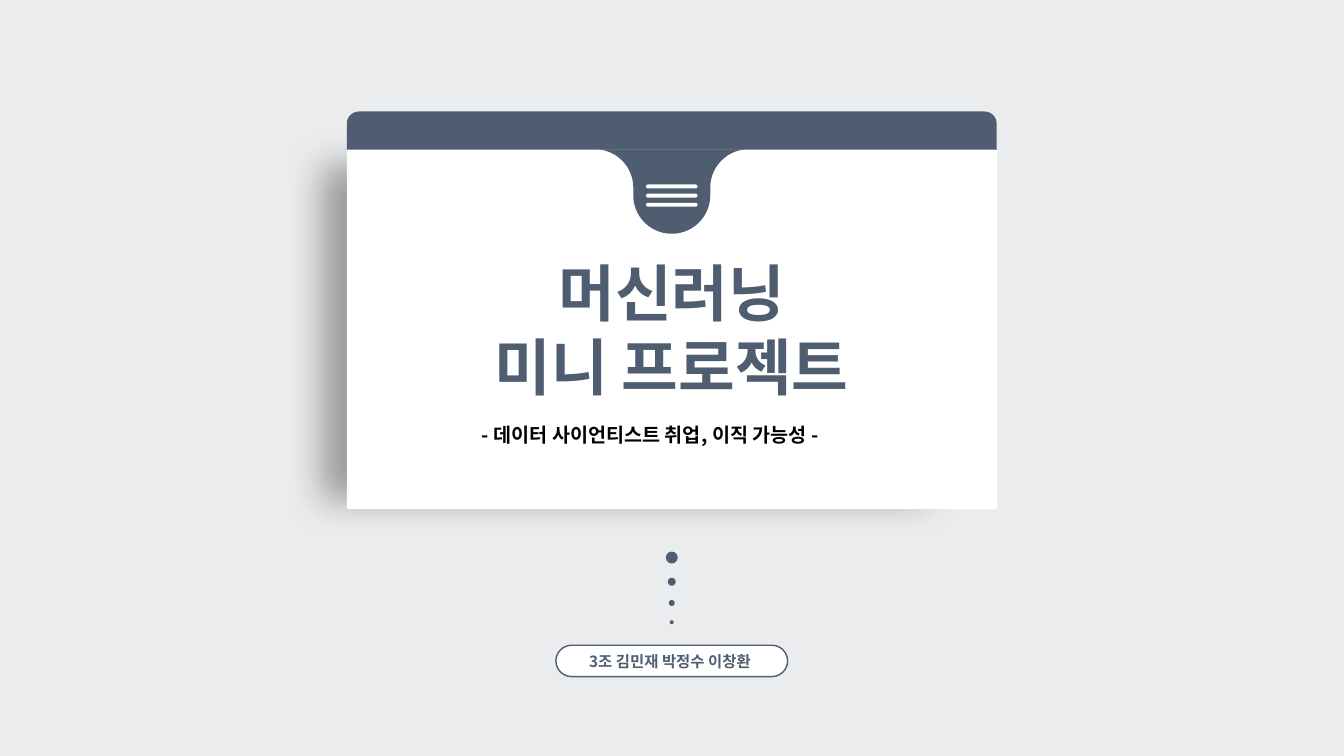
"""Build the title slide: a folder card with a tab, a dot trail and a team badge."""
from dataclasses import dataclass
from math import cos, radians, sin

from lxml.etree import SubElement
from pptx import Presentation
from pptx.dml.color import RGBColor
from pptx.enum.shapes import MSO_SHAPE
from pptx.enum.text import MSO_ANCHOR, MSO_AUTO_SIZE, PP_ALIGN
from pptx.oxml import parse_xml
from pptx.oxml.ns import nsdecls, qn
from pptx.util import Cm, Pt


@dataclass(frozen=True)
class Theme:
    font: str = "Noto Sans CJK KR"
    slate: RGBColor = RGBColor(0x4E, 0x5D, 0x70)
    white: RGBColor = RGBColor(0xFF, 0xFF, 0xFF)
    black: RGBColor = RGBColor(0, 0, 0)
    back: RGBColor = RGBColor(0xEB, 0xEC, 0xEE)
    title: Pt = Pt(44)
    note: Pt = Pt(14)
    team: Pt = Pt(11)


theme = Theme()
deck = Presentation()
deck.slide_width, deck.slide_height = Cm(33.87), Cm(19.05)
slide = deck.slides.add_slide(deck.slide_layouts[5])
slide.background.fill.solid()
slide.background.fill.fore_color.rgb = theme.back
shapes = slide.shapes
mid = 16.93


def style(frame, size, color, align):
    """Set the font and alignment of every paragraph."""
    for para in frame.paragraphs:
        para.alignment = align
        font = para.font
        font.name, font.size, font.bold = theme.font, size, True
        font.color.rgb = color
        SubElement(font._element, qn("a:ea"), typeface=theme.font)


def draw(kind, left, top, width, height, color):
    """Add a plain filled shape, measured in centimetres."""
    shape = shapes.add_shape(kind, Cm(left), Cm(top), Cm(width), Cm(height))
    shape.shadow.inherit = False
    shape.fill.solid()
    shape.fill.fore_color.rgb = color
    shape.line.fill.background()
    return shape


wide = 16.38
edge = mid - wide / 2
card = shapes.title
card.left, card.top, card.width, card.height = Cm(edge), Cm(3.76), Cm(wide), Cm(9.07)
card.element.spPr.append(parse_xml(
    f'<a:prstGeom {nsdecls("a")} prst="round2SameRect"><a:avLst>'
    '<a:gd name="adj1" fmla="val 0"/><a:gd name="adj2" fmla="val 3700"/>'
    '</a:avLst></a:prstGeom>'))
card.fill.solid()
card.fill.fore_color.rgb = theme.white
card.element.spPr.append(parse_xml(
    f'<a:effectLst {nsdecls("a")}><a:outerShdw blurRad="{Pt(27)}" dist="{Pt(19)}" '
    'dir="5400000" sx="93000" sy="93000" algn="ctr" rotWithShape="0">'
    '<a:srgbClr val="000000"><a:alpha val="34000"/></a:srgbClr>'
    '</a:outerShdw></a:effectLst>'))
frame = card.text_frame
frame.text = "머신러닝\n미니 프로젝트"
frame.word_wrap = True
frame.auto_size = MSO_AUTO_SIZE.NONE
frame.vertical_anchor = MSO_ANCHOR.MIDDLE
style(frame, theme.title, theme.slate, PP_ALIGN.CENTER)

curve = 0.97
arcs = [(mid - 2 * curve, 4.73, -84, 0),
        (mid, 4.92, 180, 0),
        (mid + 2 * curve, 4.73, 180, 264)]
steps = 40
points = [(Cm(x + curve * cos(radians(a + (b - a) * i / steps))),
           Cm(y + curve * sin(radians(a + (b - a) * i / steps))))
          for x, y, a, b in arcs for i in range(steps + 1)]
path = shapes.build_freeform(*points[0])
path.add_line_segments(points[1:], close=True)
tab = path.convert_to_shape()
tab.shadow.inherit = False
tab.fill.solid()
tab.fill.fore_color.rgb = theme.slate
tab.line.fill.background()

for i in range(3):
    bar = draw(MSO_SHAPE.ROUNDED_RECTANGLE, mid - 0.65, 4.65 + 0.23 * i, 1.3, 0.1, theme.white)
    bar.adjustments[0] = 0.5

band = draw(MSO_SHAPE.ROUND_2_SAME_RECTANGLE, edge, 2.81, wide, 0.96, theme.slate)
band.adjustments[0], band.adjustments[1] = 0.32, 0

badge = draw(MSO_SHAPE.ROUNDED_RECTANGLE, mid - 2.92, 16.26, 5.84, 0.79, theme.white)
badge.adjustments[0] = 0.5
badge.line.color.rgb = theme.slate
badge.line.width = Pt(1)
badge.text_frame.text = "3조 김민재 박정수 이창환 "
badge.text_frame.vertical_anchor = MSO_ANCHOR.MIDDLE
style(badge.text_frame, theme.team, theme.slate, PP_ALIGN.CENTER)

top = 13.9
for size in (0.3, 0.2, 0.15, 0.1):
    draw(MSO_SHAPE.OVAL, mid - size / 2, top, size, size, theme.slate)
    top += size + 0.36

note = shapes.add_textbox(Cm(11.89), Cm(10.54), Cm(10.08), Cm(0.86))
note.text_frame.text = "- 데이터 사이언티스트 취업, 이직 가능성 -"
note.text_frame.word_wrap = False
note.text_frame.auto_size = MSO_AUTO_SIZE.SHAPE_TO_FIT_TEXT
style(note.text_frame, theme.note, theme.black, PP_ALIGN.LEFT)

deck.save("out.pptx")
